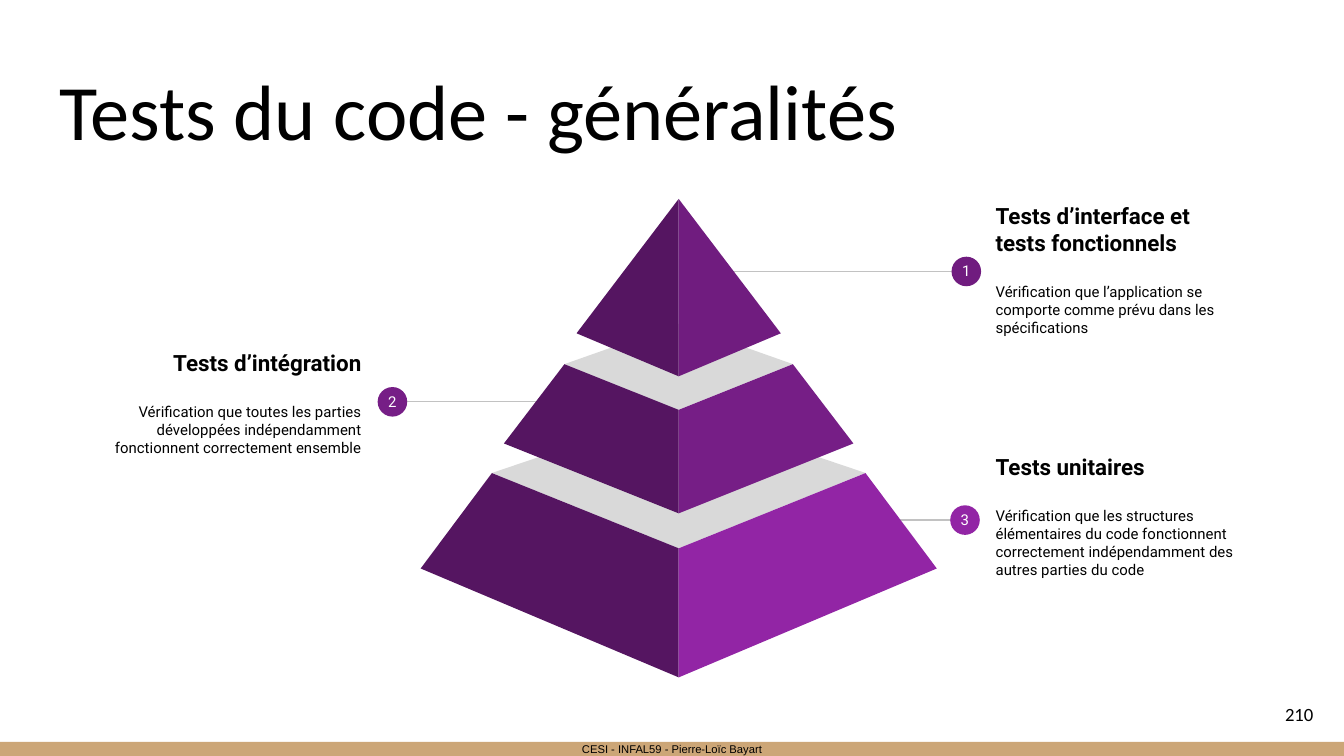
import pptx
import pptx.dml.color
import pptx.enum.shapes
import pptx.enum.text
import pptx.util
from lxml import etree
from pptx.oxml.ns import qn

Inches = pptx.util.Inches
Pt = pptx.util.Pt
RGBColor = pptx.dml.color.RGBColor
Shape = pptx.enum.shapes.MSO_SHAPE
Align = pptx.enum.text.PP_ALIGN
Anchor = pptx.enum.text.MSO_ANCHOR

BLACK = RGBColor(0x00, 0x00, 0x00)
WHITE = RGBColor(0xFF, 0xFF, 0xFF)
TAN = RGBColor(0xCC, 0xA6, 0x77)
LINE_GRAY = RGBColor(0xC2, 0xC2, 0xC2)
LID_GRAY = RGBColor(0xD9, 0xD9, 0xD9)
DARK_PURPLE = RGBColor(0x55, 0x15, 0x61)
TOP_PURPLE = RGBColor(0x70, 0x1C, 0x7F)
MIDDLE_PURPLE = RGBColor(0x76, 0x1E, 0x86)
BASE_PURPLE = RGBColor(0x92, 0x25, 0xA5)

# 16:9 slide
prs = pptx.Presentation()
prs.slide_width, prs.slide_height = Inches(10), Inches(10 * 9 / 16)
slide = prs.slides.add_slide(prs.slide_layouts[5])
shapes = slide.shapes


def write(shape, paragraphs, align, anchor):
    """Fill a shape with (text, font values, space after) paragraphs."""
    frame = shape.text_frame
    frame.word_wrap = True
    frame.auto_size = pptx.enum.text.MSO_AUTO_SIZE.NONE
    frame.vertical_anchor = anchor
    for side in ("left", "right", "top", "bottom"):
        setattr(frame, f"margin_{side}", Inches(0.1))
    for index, (text, font_values, space_after) in enumerate(paragraphs):
        paragraph = frame.paragraphs[0] if index == 0 else frame.add_paragraph()
        paragraph.alignment = align
        paragraph.space_after = Pt(space_after)
        run = paragraph.add_run()
        run.text = text
        values = {"bold": False} | font_values
        run.font.color.rgb = values.pop("color", BLACK)
        for name, value in values.items():
            setattr(run.font, name, value)


def paint(shape, color):
    shape.shadow.inherit = False
    shape.fill.solid()
    shape.fill.fore_color.rgb = color
    shape.line.fill.background()


# Title, footer bar and page number
title = shapes.title
title.left, title.top = Inches(0.34), Inches(0.35)
title.width, title.height = Inches(9.32), Inches(0.91)
write(title, [("Tests du code - généralités", {"name": "Calibri", "size": Pt(42)}, 0)],
      Align.LEFT, Anchor.BOTTOM)

footer = shapes.add_shape(Shape.RECTANGLE, 0, Inches(5.52), Inches(10), Inches(0.11))
paint(footer, TAN)
write(footer, [("CESI - INFAL59 - Pierre-Loïc Bayart", {"name": "Arial", "size": Pt(6)}, 0)],
      Align.CENTER, Anchor.MIDDLE)

page_number = shapes.add_textbox(Inches(9.27), Inches(5.1), Inches(0.6), Inches(0.43))
write(page_number, [("210", {"name": "Calibri", "size": Pt(10)}, 0)],
      Align.RIGHT, Anchor.MIDDLE)

# Callouts: number, heading, description, colour, line y, line start x,
# circle centre x, text left, text top, alignment
callouts = [
    ("3", "Tests unitaires",
     "Vérification que les structures élémentaires du code fonctionnent "
     "correctement indépendamment des autres parties du code",
     BASE_PURPLE, 3.87, 6.65, 7.18, 7.31, 3.08, Align.LEFT),
    ("2", "Tests d’intégration",
     "Vérification que toutes les parties développées indépendamment "
     "fonctionnent correctement ensemble",
     MIDDLE_PURPLE, 2.99, 4.02, 2.92, 0.75, 2.24, Align.RIGHT),
    ("1", "Tests d’interface et tests fonctionnels",
     "Vérification que l’application se comporte comme prévu dans les spécifications",
     TOP_PURPLE, 2.02, 5.42, 7.19, 7.31, 1.25, Align.LEFT),
]
HEADING = {"name": "Roboto", "size": Pt(12), "bold": True}
BODY = {"name": "Roboto", "size": Pt(8)}
DIAMETER = 0.22

for number, heading, description, color, y, start_x, circle_x, left, top, align in callouts:
    leader = shapes.add_connector(pptx.enum.shapes.MSO_CONNECTOR.STRAIGHT,
                                  Inches(start_x), Inches(y), Inches(circle_x), Inches(y))
    leader.line.color.rgb = LINE_GRAY
    leader.line.width = Pt(0.75)
    etree.SubElement(leader._element.spPr, qn("a:effectLst"))

    explanation = shapes.add_textbox(Inches(left), Inches(top), Inches(2.04), Inches(1.51))
    write(explanation, [(heading, HEADING, 14.5), (description, BODY, 16)], align, Anchor.MIDDLE)

    circle = shapes.add_shape(Shape.OVAL, Inches(circle_x - DIAMETER / 2),
                              Inches(y - DIAMETER / 2), Inches(DIAMETER), Inches(DIAMETER))
    paint(circle, color)
    label = shapes.add_textbox(Inches(circle_x - 0.135), Inches(y - 0.17),
                               Inches(0.27), Inches(0.34))
    write(label, [(number, BODY | {"color": WHITE}, 0)], Align.CENTER, Anchor.TOP)

# Pyramid levels from the base up: half width, side y and front y of the upper
# and of the lower edge, back corner y of the grey lid, colour of the right face
CENTER = 5.05
levels = [
    ((1.39, 3.52, 4.08), (1.92, 4.23, 5.04), 3.05, BASE_PURPLE),
    ((0.85, 2.71, 3.05), (1.3, 3.3, 3.82), 2.41, MIDDLE_PURPLE),
    ((0, 1.48, 1.48), (0.76, 2.48, 2.8), None, TOP_PURPLE),
]
for upper, lower, back_y, color in levels:
    upper_half, upper_side, upper_front = upper
    lower_half, lower_side, lower_front = lower
    outlines = []
    if back_y is not None:
        outlines.append(([(-upper_half, upper_side), (0, upper_front),
                          (upper_half, upper_side), (0, back_y)], LID_GRAY))
    for direction, face_color in ((-1, DARK_PURPLE), (1, color)):
        outlines.append(([(direction * upper_half, upper_side),
                          (direction * lower_half, lower_side),
                          (0, lower_front), (0, upper_front)], face_color))
    for corners, fill_color in outlines:
        points = [(Inches(CENTER + x), Inches(y)) for x, y in corners]
        builder = shapes.build_freeform(*points[0])
        builder.add_line_segments(points[1:])
        paint(builder.convert_to_shape(), fill_color)

prs.save("out.pptx")
